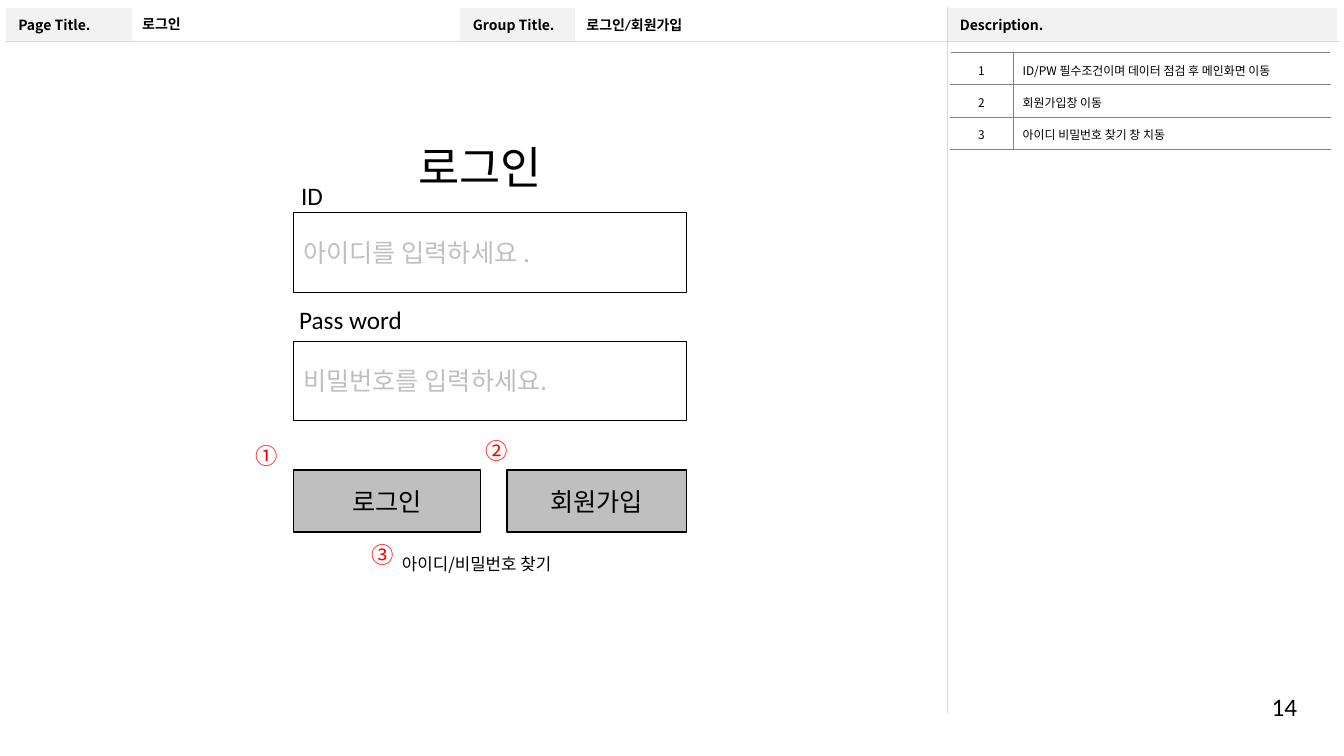
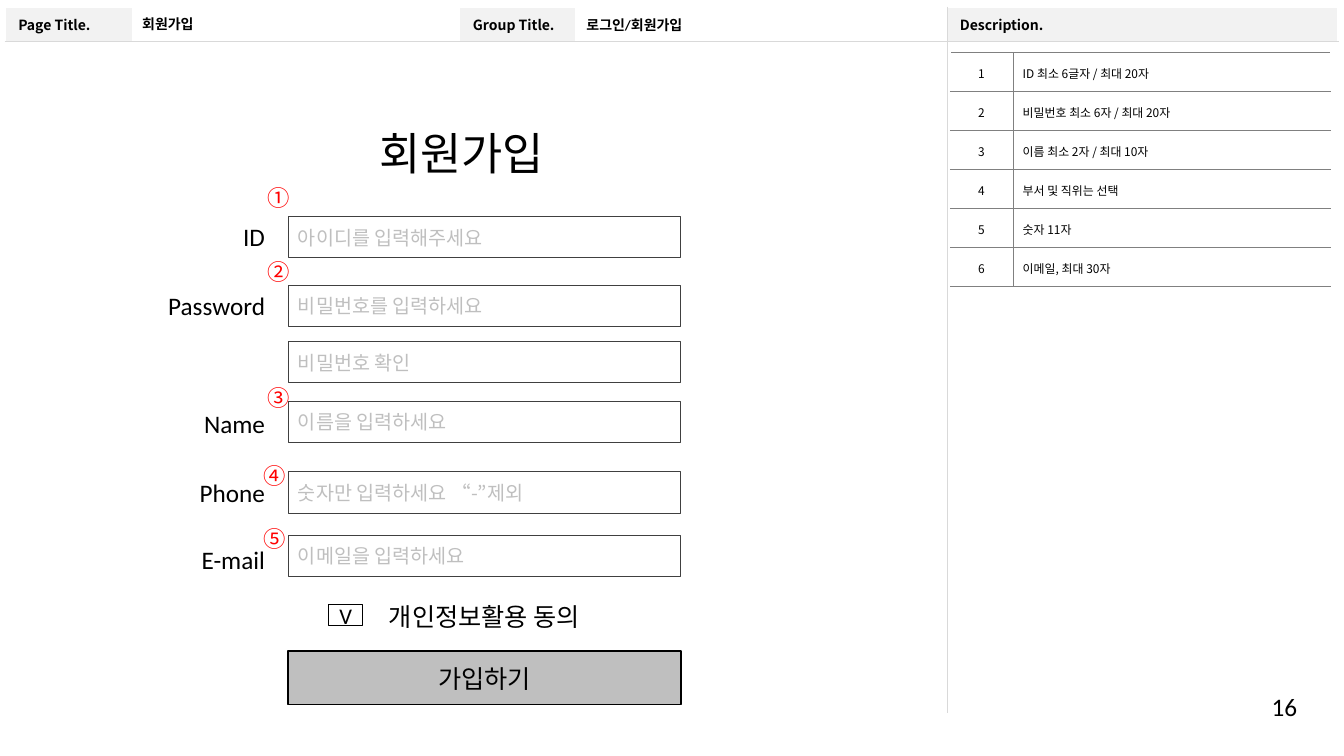
from lxml import etree
from pptx import Presentation
from pptx.dml.color import RGBColor
from pptx.enum.shapes import MSO_SHAPE
from pptx.enum.text import MSO_ANCHOR, MSO_AUTO_SIZE, PP_ALIGN
from pptx.oxml.ns import qn
from pptx.util import Cm, Pt

RECT = MSO_SHAPE.RECTANGLE
TOP, MIDDLE = MSO_ANCHOR.TOP, MSO_ANCHOR.MIDDLE
LEFT, CENTER, RIGHT, JUSTIFY = PP_ALIGN.LEFT, PP_ALIGN.CENTER, PP_ALIGN.RIGHT, PP_ALIGN.JUSTIFY
NO_FIT = MSO_AUTO_SIZE.NONE

KOREAN, LATIN, ARIAL = "Noto Sans CJK KR", "Calibri", "Arial"
BLACK, WHITE, RED = "000000", "FFFFFF", "FF0000"
BAND, RULE, SILVER, GRAY, DARK = "F2F2F2", "D9D9D9", "BFBFBF", "808080", "404040"

FORMATS = {
    "band": ({"name": KOREAN, "size": Pt(10), "bold": True}, BLACK),
    "page": ({"name": ARIAL, "size": Pt(10), "bold": True}, BLACK),
    "group": ({"name": LATIN, "size": Pt(10), "bold": True}, BLACK),
    "heading": ({"name": KOREAN, "size": Pt(32), "bold": False}, BLACK),
    "note": ({"name": KOREAN, "size": Pt(8.5), "bold": False}, BLACK),
    "mark": ({"name": KOREAN, "size": Pt(16)}, RED),
    "label": ({"name": LATIN, "size": Pt(18)}, BLACK),
    "check": ({"name": LATIN, "size": Pt(16)}, BLACK),
    "button": ({"name": KOREAN, "size": Pt(18)}, BLACK),
    "link": ({"name": KOREAN, "size": Pt(12)}, BLACK),
    "large hint": ({"name": KOREAN, "size": Pt(18)}, SILVER),
    "hint": ({"name": KOREAN, "size": Pt(14)}, SILVER),
}


def rgb(value):
    return RGBColor.from_string(value)


class Wireframe:
    """Holds the shared style and the slide being drawn."""

    def __init__(self):
        self.prs = Presentation()
        self.prs.slide_width, self.prs.slide_height = Cm(33.87), Cm(19.05)
        self.s = None

    def put_text(self, tf, text, style, align=LEFT, spacing=1.0):
        p = tf.paragraphs[0]
        for key, value in {"alignment": align, "line_spacing": spacing, "space_before": Pt(0)}.items():
            setattr(p, key, value)
        r = p.add_run()
        r.text = text
        values, color = FORMATS[style]
        for key, value in values.items():
            setattr(r.font, key, value)
        r.font.color.rgb = rgb(color)
        etree.SubElement(r._r.get_or_add_rPr(), qn("a:ea"), typeface=KOREAN)
        return p

    def frame(self, tf, anchor):
        values = {"word_wrap": True, "auto_size": NO_FIT, "vertical_anchor": anchor}
        for key, value in values.items():
            setattr(tf, key, value)

    def placeholder(self, sp, box, text, style, anchor):
        sp.left, sp.top, sp.width, sp.height = map(Cm, box)
        self.frame(sp.text_frame, anchor)
        pPr = self.put_text(sp.text_frame, text, style)._p.get_or_add_pPr()
        pPr.set("marL", "0")
        pPr.set("indent", "0")
        etree.SubElement(pPr, qn("a:buNone"))

    def text(self, box, text, style, align=LEFT, anchor=TOP):
        sp = self.s.shapes.add_textbox(*map(Cm, box))
        self.frame(sp.text_frame, anchor)
        self.put_text(sp.text_frame, text, style, align)

    def box(self, box, text, style, fill=WHITE, line=BLACK, weight=1, align=CENTER):
        sp = self.s.shapes.add_shape(RECT, *map(Cm, box))
        sp.shadow.inherit = False
        sp.fill.solid()
        sp.fill.fore_color.rgb = rgb(fill)
        if line:
            sp.line.color.rgb = rgb(line)
            sp.line.width = Pt(weight)
        else:
            sp.line.fill.background()
        self.frame(sp.text_frame, MIDDLE)
        self.put_text(sp.text_frame, text, style, align)

    def button(self, box, text):
        self.box(box, text, "button", fill=SILVER)

    def mark(self, left, top, text):
        self.text((left, top, 1.19, 0.94), text, "mark")

    def table(self, left, top, cols, rows):
        gf = self.s.shapes.add_table(len(rows), len(cols), Cm(left), Cm(top),
                                     Cm(sum(cols)), Cm(sum(rows)))
        tbl = gf.table
        tbl.first_row = tbl.horz_banding = False
        for col, width in zip(tbl.columns, cols):
            col.width = Cm(width)
        for row, height in zip(tbl.rows, rows):
            row.height = Cm(height)
        for cell in tbl.iter_cells():
            cell.fill.background()
            cell.vertical_anchor = MIDDLE
        return tbl

    def borders(self, cell, sides, color):
        tcPr = cell._tc.get_or_add_tcPr()
        for i, side in enumerate(sides):
            ln = etree.Element(qn("a:ln" + side), w=str(Pt(0.25)))
            fill = etree.SubElement(ln, qn("a:solidFill"))
            etree.SubElement(fill, qn("a:srgbClr"), val=color)
            tcPr.insert(i, ln)

    def margins(self, cell, x, y):
        cell.margin_left = cell.margin_right = Cm(x)
        cell.margin_top = cell.margin_bottom = Cm(y)

    def header(self):
        tbl = self.table(0.13, 0.18, (3.2, 8.26, 2.92, 9.35, 9.86), (0.86, 16.94))
        titles = ("Page Title.", "", "Group Title.", "", "Description.")
        for col, title in enumerate(titles):
            head, body = tbl.cell(0, col), tbl.cell(1, col)
            if title:
                head.fill.solid()
                head.fill.fore_color.rgb = rgb(BAND)
                self.margins(head, 0.33, 0.18)
                self.put_text(head.text_frame, title, "band")
            else:
                self.margins(head, 0, 0)
            edge = {3: "R", 4: "L"}.get(col, "")
            self.borders(head, edge + "B", RULE)
            self.borders(body, edge + "T", RULE)
        tbl.cell(1, 0).merge(tbl.cell(1, 3))
        self.borders(tbl.cell(1, 0), "R", RULE)

    def notes(self, notes, height):
        tbl = self.table(23.95, 1.32, (1.57, 8), [height] * len(notes))
        for row, note in enumerate(notes):
            number, body = tbl.cell(row, 0), tbl.cell(row, 1)
            self.put_text(number.text_frame, str(row + 1), "note", CENTER, 1.2)
            self.put_text(body.text_frame, note, "note", JUSTIFY, 1.2)
            self.borders(number, "RTB", GRAY)
            self.borders(body, "LTB", GRAY)

    def page(self, name, number, heading_at, notes, note_height):
        self.s = self.prs.slides.add_slide(self.prs.slide_layouts[1])
        self.header()
        self.notes(notes, note_height)
        title, body = self.s.placeholders
        self.placeholder(title, (*heading_at, 8.86, 1.63), name, "heading", TOP)
        self.placeholder(body, (3.33, 0.3, 8.23, 0.61), name, "page", MIDDLE)
        self.text((14.53, 0.33, 9.25, 0.61), "로그인/회원가입", "group", anchor=MIDDLE)
        self.text((25.32, 17.3, 7.62, 1.02), number, "label", RIGHT, MIDDLE)


def login(w):
    w.page("로그인", "14", (10.29, 3.4), (
        "ID/PW 필수조건이며 데이터 점검 후 메인화면 이동",
        "회원가입창 이동",
        "아이디 비밀번호 찾기 창 치동",
    ), 0.81)
    for left, top, label, field_top, hint in (
        (7.34, 4.42, "ID", 5.36, "아이디를 입력하세요 ."),
        (7.29, 7.54, "Pass word", 8.59, "비밀번호를 입력하세요."),
    ):
        w.text((left, top, 4.29, 1.02), label, "label")
        w.box((7.39, field_top, 9.9, 2.01), hint, "large hint", weight=0.25, align=LEFT)
    w.button((7.39, 11.84, 4.72, 1.57), "로그인")
    w.button((12.78, 11.84, 4.52, 1.57), "회원가입")
    w.text((9.88, 13.84, 8, 0.76), "아이디/비밀번호 찾기", "link")
    for mark in ((6.2, 11.02, "①"), (11.99, 10.9, "②"), (9.12, 13.51, "③")):
        w.mark(*mark)


def sign_up(w):
    w.page("회원가입", "16", (9.3, 3.05), (
        "ID 최소 6글자 / 최대 20자",
        "비밀번호 최소 6자 / 최대 20자",
        "이름 최소 2자 / 최대 10자",
        "부서 및 직위는 선택",
        "숫자 11자",
        "이메일, 최대 30자",
    ), 0.98)
    for top, hint in (
        (5.46, "아이디를 입력해주세요"),
        (7.19, "비밀번호를 입력하세요"),
        (8.61, "비밀번호 확인"),
        (10.11, "이름을 입력하세요"),
        (11.89, "숫자만 입력하세요 “-”제외"),
        (13.49, "이메일을 입력하세요"),
    ):
        w.box((7.26, top, 9.9, 1.04), hint, "hint", line=DARK, weight=0.75, align=LEFT)
    for top, label, mark in (
        (5.46, "ID", (6.5, 4.52, "①")),
        (7.19, "Password", (6.5, 6.38, "②")),
        (10.16, "Name", (6.5, 9.55, "③")),
        (11.91, "Phone", (6.38, 11.53, "④")),
        (13.59, "E-mail", (6.38, 13.11, "⑤")),
    ):
        w.text((2.93, top, 4, 1.02), label, "label", RIGHT)
        w.mark(*mark)
    w.box((7.26, 14.86, 9.9, 1.35), "개인정보활용 동의", "button", line=None)
    w.box((8.28, 15.24, 0.86, 0.53), "V", "check")
    w.button((7.26, 16.41, 9.9, 1.35), "가입하기")


def main():
    w = Wireframe()
    login(w)
    sign_up(w)
    w.prs.save("out.pptx")


if __name__ == "__main__":
    main()
